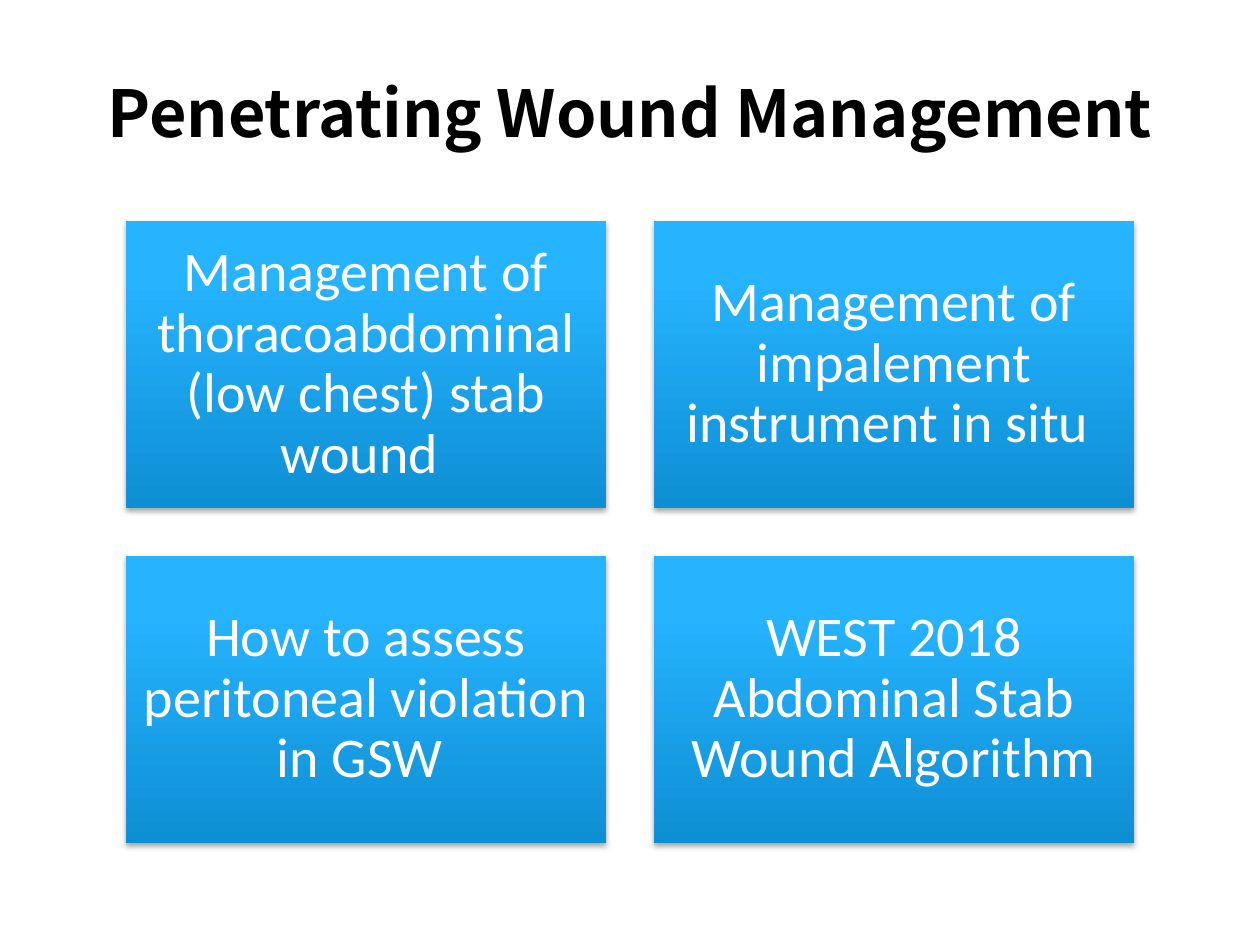
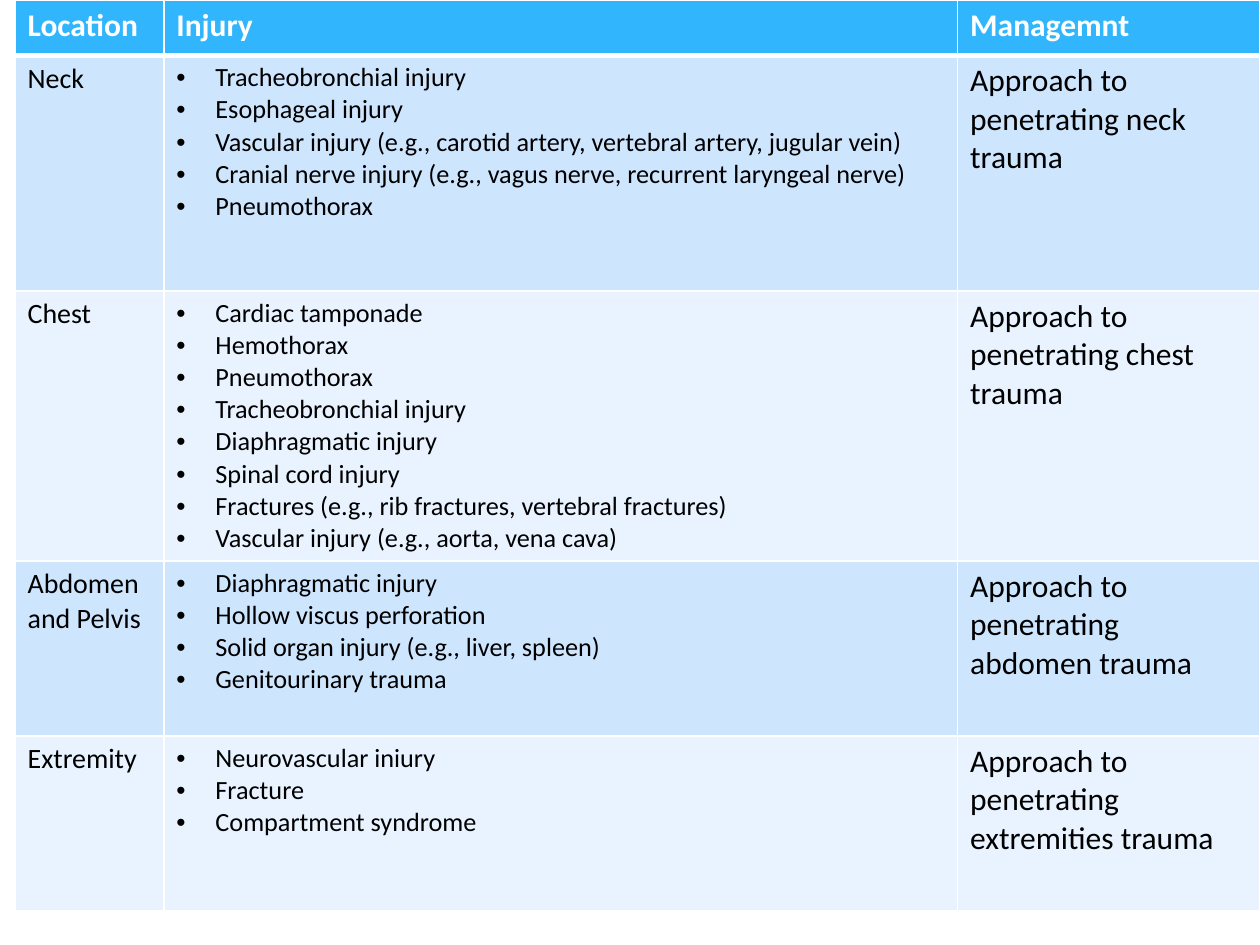
import dataclasses
import typing

import lxml.etree
import pptx
import pptx.dml.color
import pptx.enum.dml
import pptx.enum.shapes
import pptx.enum.text
import pptx.oxml
import pptx.oxml.ns
import pptx.util

Inches = pptx.util.Inches
Pt = pptx.util.Pt
TITLE_ONLY_LAYOUT, BLANK_LAYOUT = 5, 6


@dataclasses.dataclass(frozen=True)
class Theme:
    title_font: str = "Noto Sans CJK SC"
    body_font: str = "Calibri"
    ink: str = "000000"
    paper: str = "FFFFFF"
    card_bottom: str = "0E8FD4"
    card_top: str = "26B3FF"
    header: str = "31B6FD"
    bands: tuple[str, str] = ("CEE5FE", "E8F3FF")
    title_size: int = 37
    card_size: int = 32
    header_size: int = 18
    location_size: int = 16
    injury_size: int = 15
    management_size: int = 18
    line_spacing: float = 0.9


@dataclasses.dataclass(frozen=True)
class InjuryRow:
    location: str
    injuries: tuple[str, ...]
    management: str
    height: float


THEME = Theme()

TOPICS = (
    "Management of thoracoabdominal (low chest) stab wound ",
    "Management of impalement instrument in situ ",
    "How to assess peritoneal violation in GSW ",
    "WEST 2018 Abdominal Stab Wound Algorithm",
)

HEADINGS = ("Location", "Injury", "Managemnt")
COLUMN_WIDTHS = (1.18, 6.3, 2.4)
HEADER_HEIGHT = 0.44
INJURY_ROWS = (
    InjuryRow("Neck", (
        "Tracheobronchial injury",
        "Esophageal injury",
        "Vascular injury (e.g., carotid artery, vertebral artery, jugular vein)",
        "Cranial nerve injury (e.g., vagus nerve, recurrent laryngeal nerve)",
        "Pneumothorax",
    ), "Approach to penetrating neck trauma", 1.87),
    InjuryRow("Chest", (
        "Cardiac tamponade",
        "Hemothorax",
        "Pneumothorax",
        "Tracheobronchial injury",
        "Diaphragmatic injury",
        "Spinal cord injury",
        "Fractures (e.g., rib fractures, vertebral fractures)",
        "Vascular injury (e.g., aorta, vena cava)",
    ), "Approach to penetrating chest trauma", 2.13),
    InjuryRow("Abdomen and Pelvis", (
        "Diaphragmatic injury",
        "Hollow viscus perforation",
        "Solid organ injury (e.g., liver, spleen)",
        "Genitourinary trauma",
    ), "Approach to penetrating abdomen trauma", 1.39),
    InjuryRow("Extremity", (
        "Neurovascular iniury",
        "Fracture",
        "Compartment syndrome",
    ), "Approach to penetrating extremities trauma", 1.39),
)


def rgb(value: str) -> pptx.dml.color.RGBColor:
    return pptx.dml.color.RGBColor.from_string(value)


def style_text(frame: typing.Any, size: int, color: str,
               bold: bool = False, font: str = THEME.body_font) -> None:
    for paragraph in frame.paragraphs:
        for span in paragraph.runs:
            span.font.name = font
            span.font.size = Pt(size)
            span.font.bold = bold
            span.font.color.rgb = rgb(color)


def center_text(frame: typing.Any) -> None:
    frame.word_wrap = True
    frame.auto_size = pptx.enum.text.MSO_AUTO_SIZE.NONE
    frame.vertical_anchor = pptx.enum.text.MSO_ANCHOR.MIDDLE
    for paragraph in frame.paragraphs:
        paragraph.alignment = pptx.enum.text.PP_ALIGN.CENTER
        paragraph.line_spacing = THEME.line_spacing


def set_title(page: typing.Any, text: str) -> None:
    title = page.shapes.title
    title.left, title.top = Inches(0.5), Inches(0.3)
    title.width, title.height = Inches(9), Inches(1.25)
    title.text_frame.text = text
    center_text(title.text_frame)
    style_text(title.text_frame, THEME.title_size, THEME.ink, True, THEME.title_font)


def add_soft_shadow(box: typing.Any) -> None:
    box.shadow.inherit = False
    effects = box._element.spPr.find(pptx.oxml.ns.qn("a:effectLst"))
    effects.append(pptx.oxml.parse_xml(
        f'<a:outerShdw {pptx.oxml.ns.nsdecls("a")} blurRad="{Pt(3.1)}" dist="{Pt(1.8)}" '
        f'dir="5400000" rotWithShape="0"><a:srgbClr val="{THEME.ink}">'
        '<a:alpha val="35000"/></a:srgbClr></a:outerShdw>'))


def add_card(page: typing.Any, text: str, left: float, top: float,
             width: float, height: float) -> None:
    card = page.shapes.add_shape(
        pptx.enum.shapes.MSO_SHAPE.RECTANGLE,
        Inches(left), Inches(top), Inches(width), Inches(height))
    card.line.fill.background()
    add_soft_shadow(card)

    # Dark at the foot, light from four fifths of the way up
    card.fill.gradient()
    card.fill.gradient_angle = 90
    colors = ((0, THEME.card_bottom), (0.8, THEME.card_top))
    for stop, (position, color) in zip(card.fill.gradient_stops, colors):
        stop.position = position
        stop.color.rgb = rgb(color)

    frame = card.text_frame
    frame.margin_left = frame.margin_right = Inches(0.13)
    frame.margin_top = frame.margin_bottom = Inches(0.13)
    frame.text = text
    center_text(frame)
    style_text(frame, THEME.card_size, THEME.paper)


def set_borders(cell: typing.Any, widths: dict[str, int]) -> None:
    properties = cell._tc.get_or_add_tcPr()
    for index, side in enumerate("LRTB"):
        properties.insert(index, pptx.oxml.parse_xml(
            f'<a:ln{side} {pptx.oxml.ns.nsdecls("a")} w="{Pt(widths.get(side, 1))}">'
            f'<a:solidFill><a:srgbClr val="{THEME.paper}"/></a:solidFill></a:ln{side}>'))


def add_bullet(paragraph: typing.Any) -> None:
    properties = paragraph._p.get_or_add_pPr()
    properties.set("marL", str(Inches(0.31)))
    properties.set("indent", str(-Inches(0.31)))
    font = lxml.etree.SubElement(properties, pptx.oxml.ns.qn("a:buFont"))
    font.set("typeface", "Arial")
    bullet = lxml.etree.SubElement(properties, pptx.oxml.ns.qn("a:buChar"))
    bullet.set("char", "•")


def fill_cell(cell: typing.Any, text: str, size: int, color: str, background: str,
              borders: dict[str, int], bold: bool = False) -> None:
    cell.fill.solid()
    cell.fill.fore_color.rgb = rgb(background)
    set_borders(cell, borders)
    cell.text_frame.text = text
    style_text(cell.text_frame, size, color, bold)


def build_topics(deck: typing.Any) -> None:
    page = deck.slides.add_slide(deck.slide_layouts[TITLE_ONLY_LAYOUT])
    set_title(page, "Penetrating Wound Management")
    width, height, gap = 3.81, 2.28, 0.38
    for index, topic in enumerate(TOPICS):
        row, column = divmod(index, 2)
        add_card(page, topic, 1 + column * (width + gap),
                 1.75 + row * (height + gap), width, height)


def build_injury_table(deck: typing.Any) -> None:
    page = deck.slides.add_slide(deck.slide_layouts[BLANK_LAYOUT])
    heights = (HEADER_HEIGHT, *(row.height for row in INJURY_ROWS))
    table = page.shapes.add_table(
        len(heights), len(HEADINGS), Inches(0.12), Inches(0),
        Inches(sum(COLUMN_WIDTHS)), Inches(sum(heights))).table
    table.horz_banding = False
    for column, width in zip(table.columns, COLUMN_WIDTHS):
        column.width = Inches(width)
    for row, height in zip(table.rows, heights):
        row.height = Inches(height)

    # Header row, with a heavier rule below it
    for column, heading in enumerate(HEADINGS):
        fill_cell(table.cell(0, column), heading, THEME.header_size,
                  THEME.paper, THEME.header, {"B": 3}, True)

    # Body rows in alternating bands
    sizes = (THEME.location_size, THEME.injury_size, THEME.management_size)
    for number, row in enumerate(INJURY_ROWS, start=1):
        band = THEME.bands[(number - 1) % 2]
        borders = {"T": 3} if number == 1 else {}
        texts = (row.location, "\n".join(row.injuries), row.management)
        for column, (text, size) in enumerate(zip(texts, sizes)):
            fill_cell(table.cell(number, column), text, size, THEME.ink, band, borders)
        for paragraph in table.cell(number, 1).text_frame.paragraphs:
            add_bullet(paragraph)


def main() -> None:
    deck = pptx.Presentation()
    deck.slide_width, deck.slide_height = Inches(10), Inches(7.5)
    build_topics(deck)
    build_injury_table(deck)
    deck.save("out.pptx")


if __name__ == "__main__":
    main()
